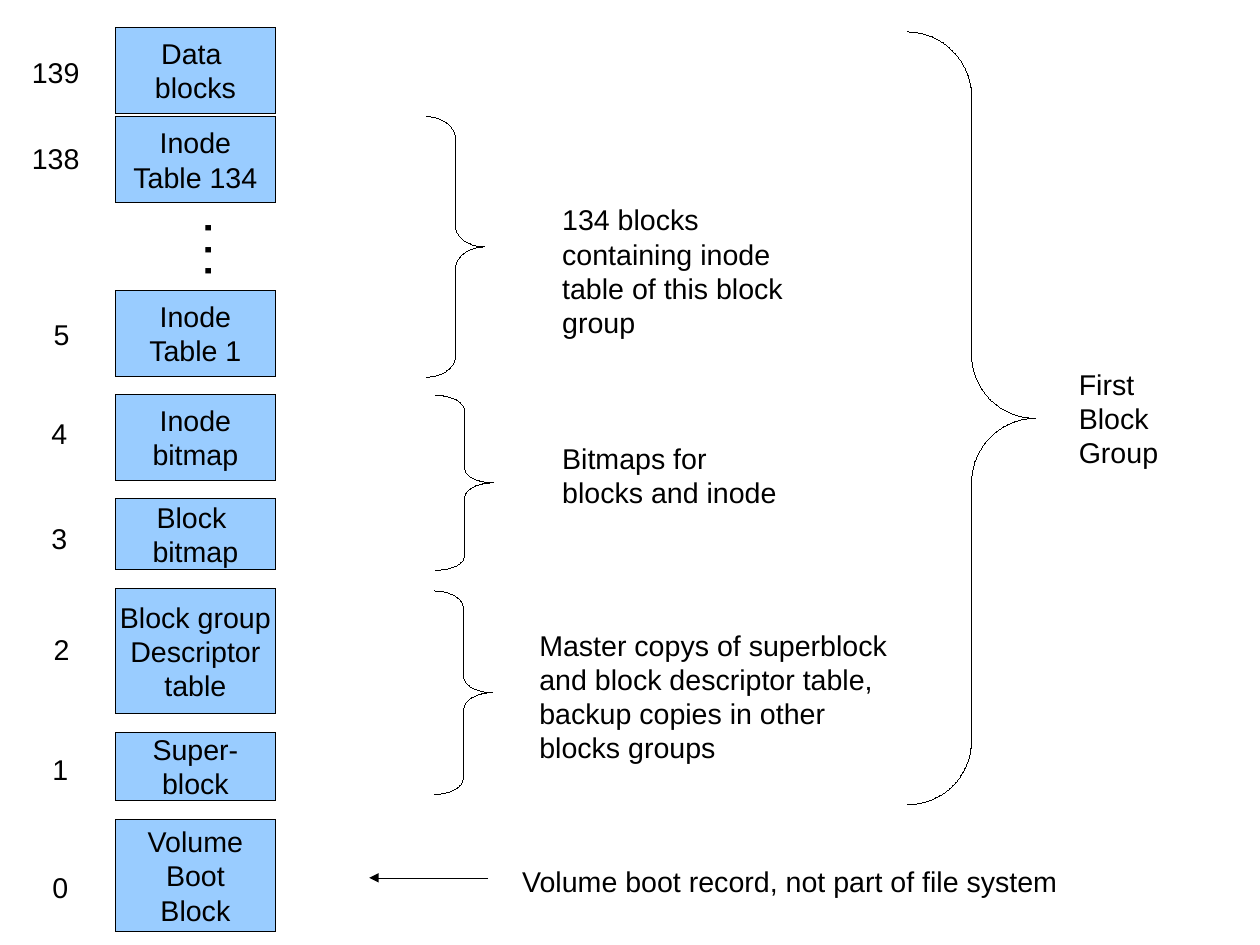
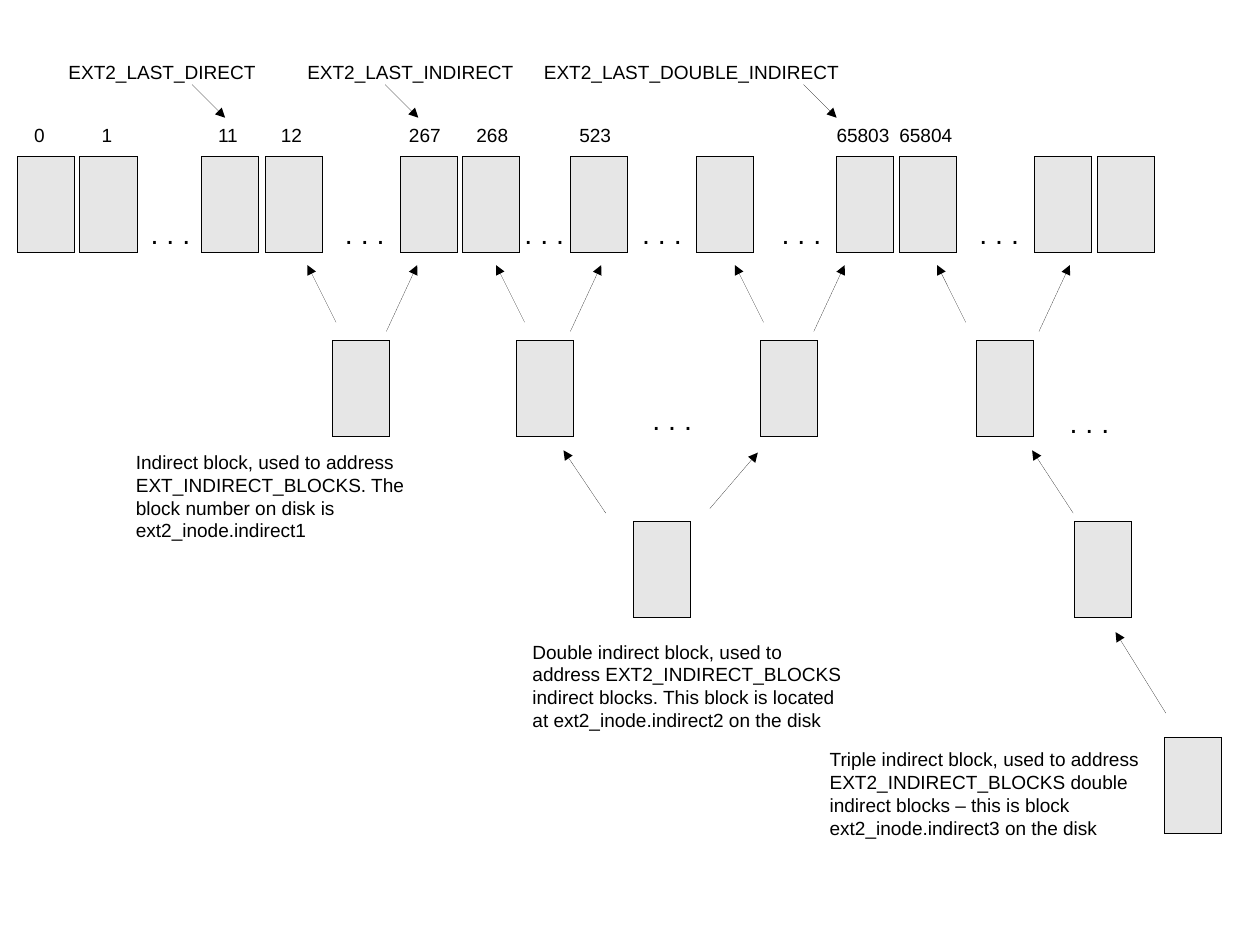
from lxml import etree
from pptx import Presentation
from pptx.dml.color import RGBColor
from pptx.enum.shapes import MSO_CONNECTOR, MSO_SHAPE
from pptx.enum.text import MSO_ANCHOR, MSO_AUTO_SIZE, PP_ALIGN
from pptx.oxml.ns import qn
from pptx.util import Inches, Pt

RECTANGLE, BRACE = MSO_SHAPE.RECTANGLE, MSO_SHAPE.RIGHT_BRACE
STRAIGHT = MSO_CONNECTOR.STRAIGHT
MIDDLE, TOP = MSO_ANCHOR.MIDDLE, MSO_ANCHOR.TOP
CENTER, LEFT = PP_ALIGN.CENTER, PP_ALIGN.LEFT
GROW, FIXED = MSO_AUTO_SIZE.SHAPE_TO_FIT_TEXT, MSO_AUTO_SIZE.NONE

# Shared style
INK, BLUE, GRAY = "000000", "99CCFF", "E6E6E6"
FONT = "Arial"
HAIRLINE = Pt(0.01)
color = RGBColor.from_string


def add_box(slide, left, top, width, height, lines=(), size=18, fill=None, bold=None):
    """Filled block with centred text, or a plain label when there is no fill."""
    place = [Inches(v) for v in (left, top, width, height)]
    if fill:
        box = slide.shapes.add_shape(RECTANGLE, *place)
        box.shadow.inherit = False
        box.fill.solid()
        box.fill.fore_color.rgb = color(fill)
        box.line.color.rgb = color(INK)
        box.line.width = HAIRLINE
    else:
        box = slide.shapes.add_textbox(*place)
    frame = box.text_frame
    frame.word_wrap = not fill
    frame.auto_size = FIXED if fill else GROW
    frame.vertical_anchor = MIDDLE if fill else TOP
    for i, line in enumerate(lines):
        paragraph = frame.add_paragraph() if i else frame.paragraphs[0]
        paragraph.alignment = CENTER if fill else LEFT
        run = paragraph.add_run()
        run.text = line
        run.font.name = FONT
        run.font.size = Pt(size)
        run.font.bold = bold
        run.font.color.rgb = color(INK)
    return box


def add_arrow(slide, x, y, dx, dy):
    """Hairline arrow from (x, y), reaching dx across and dy down."""
    arrow = slide.shapes.add_connector(
        STRAIGHT, Inches(x), Inches(y), Inches(x + dx), Inches(y + dy))
    arrow.line.color.rgb = color(INK)
    arrow.line.width = HAIRLINE
    properties = arrow._element.spPr
    etree.SubElement(properties.find(qn("a:ln")), qn("a:tailEnd"), type="triangle")
    etree.SubElement(properties, qn("a:effectLst"))


# Slide size: 28 by 21 centimetres
prs = Presentation()
prs.slide_width = Inches(28 / 2.54)
prs.slide_height = Inches(21 / 2.54)
blank = prs.slide_layouts[6]

# Slide 1: layout of the first block group
group_slide = prs.slides.add_slide(blank)

# Disk blocks: top, height, text, then place of the block number
disk_blocks = [
    (7.17, 0.98, ["Volume", "Boot", "Block"], "0", 0.36, 7.56),
    (6.41, 0.59, ["Super-", "block"], "1", 0.36, 6.53),
    (5.15, 1.09, ["Block group", "Descriptor", "table"], "2", 0.37, 5.48),
    (4.36, 0.62, ["Block ", "bitmap"], "3", 0.35, 4.51),
    (3.45, 0.75, ["Inode", "bitmap"], "4", 0.35, 3.59),
    (2.54, 0.75, ["Inode", "Table 1"], "5", 0.37, 2.72),
    (1.02, 0.75, ["Inode", "Table 134"], "138", 0.18, 1.18),
    (0.24, 0.75, ["Data ", "blocks"], "139", 0.18, 0.43),
]
for top, height, name, number, number_left, number_top in disk_blocks:
    add_box(group_slide, 1.01, top, 1.4, height, name, fill=BLUE)
    add_box(group_slide, number_left, number_top, 0.4 + 0.09 * len(number), 0.38, [number])
add_box(group_slide, 1.32, 1.9, 0.76, 0.47, [". . ."], size=24, bold=True).rotation = 270

# Braces: each rounding is one twelfth of the height
for left, top, width, height in [(7.94, 0.28, 1.12, 6.76), (3.73, 1.02, 0.51, 2.28),
                                 (3.81, 3.46, 0.51, 1.53), (3.8, 5.17, 0.51, 1.78)]:
    brace = group_slide.shapes.add_shape(
        BRACE, Inches(left), Inches(top), Inches(width), Inches(height))
    brace.adjustments[0] = height / 12 / width
    brace.shadow.inherit = False
    brace.fill.background()
    brace.line.color.rgb = color(INK)
    brace.line.width = HAIRLINE

# Explanations
add_arrow(group_slide, 4.27, 7.68, -1.04, 0)
for *place, lines in [
    (4.47, 7.51, 5.36, 0.38, ["Volume boot record, not part of file system"]),
    (9.34, 3.16, 1.26, 0.94, ["First", "Block", "Group"]),
    (4.82, 1.72, 2.14, 1.22, ["134 blocks containing inode table of this block group"]),
    (4.82, 3.81, 2.14, 0.66, ["Bitmaps for blocks and inode"]),
    (4.62, 5.44, 3.41, 1.22, ["Master copys of superblock and block descriptor table, "
                              "backup copies in other blocks groups"]),
]:
    add_box(group_slide, *place, lines)

# Slide 2: direct and indirect blocks of an inode
inode_slide = prs.slides.add_slide(blank)

# Blocks by level: data, indirect, double indirect, triple indirect
levels = [
    (1.37, [0.15, 0.7, 1.76, 2.32, 3.5, 4.05, 4.99, 6.09, 7.32, 7.87, 9.05, 9.6]),
    (2.98, [2.91, 4.52, 6.65, 8.54]),
    (4.56, [5.54, 9.4]),
    (6.45, [10.19]),
]
for top, lefts in levels:
    for left in lefts:
        add_box(inode_slide, left, top, 0.5, 0.84, fill=GRAY)

# Omitted blocks
for top, lefts in [(1.84, [1.22, 2.92, 4.49, 5.52, 6.74, 8.47]), (3.47, [5.61]), (3.49, [9.26])]:
    for left in lefts:
        add_box(inode_slide, left, top, 0.66, 0.38, [". . ."])

# Block numbers
for left, number in [(0.2, "0"), (0.79, "1"), (1.81, "11"), (2.36, "12"), (3.48, "267"),
                     (4.07, "268"), (4.97, "523"), (7.22, "65803"), (7.77, "65804")]:
    add_box(inode_slide, left, 1.03, 0.15 + 0.14 * len(number), 0.29, [number], size=12)

# Constants that mark the last block of each kind
for left, width, arrow_left, constant in [
    (0.5, 2.01, 1.68, "EXT2_LAST_DIRECT"),
    (2.59, 2.16, 3.37, "EXT2_LAST_INDIRECT"),
    (4.66, 3.52, 7.03, "EXT2_LAST_DOUBLE_INDIRECT"),
]:
    add_box(inode_slide, left, 0.48, width, 0.29, [constant], size=12)
    add_arrow(inode_slide, arrow_left, 0.74, 0.29, 0.29)

# Arrows from indirect blocks to their first and last data block
for first, last in [(2.94, 3.38), (4.59, 4.99), (6.68, 7.12), (8.45, 9.09)]:
    add_arrow(inode_slide, first, 2.82, -0.25, -0.5)
    add_arrow(inode_slide, last, 2.9, 0.27, -0.58)

# Arrows from double and triple indirect blocks
for arrow in [(5.3, 4.49, -0.37, -0.55), (6.21, 4.45, 0.42, -0.49),
              (9.39, 4.49, -0.36, -0.55), (10.2, 6.24, -0.44, -0.71)]:
    add_arrow(inode_slide, *arrow)

# Explanations
for left, top, explanation in [
    (1.09, 3.89, "Indirect block, used to address EXT_INDIRECT_BLOCKS. "
                 "The block number on disk is ext2_inode.indirect1"),
    (4.56, 5.55, "Double indirect block, used to address EXT2_INDIRECT_BLOCKS indirect blocks. "
                 "This block is located at ext2_inode.indirect2 on the disk"),
    (7.16, 6.49, "Triple indirect block, used to address EXT2_INDIRECT_BLOCKS double "
                 "indirect blocks – this is block ext2_inode.indirect3 on the disk"),
]:
    add_box(inode_slide, left, top, 2.98, 0.85, [explanation], size=12)

prs.save("out.pptx")
